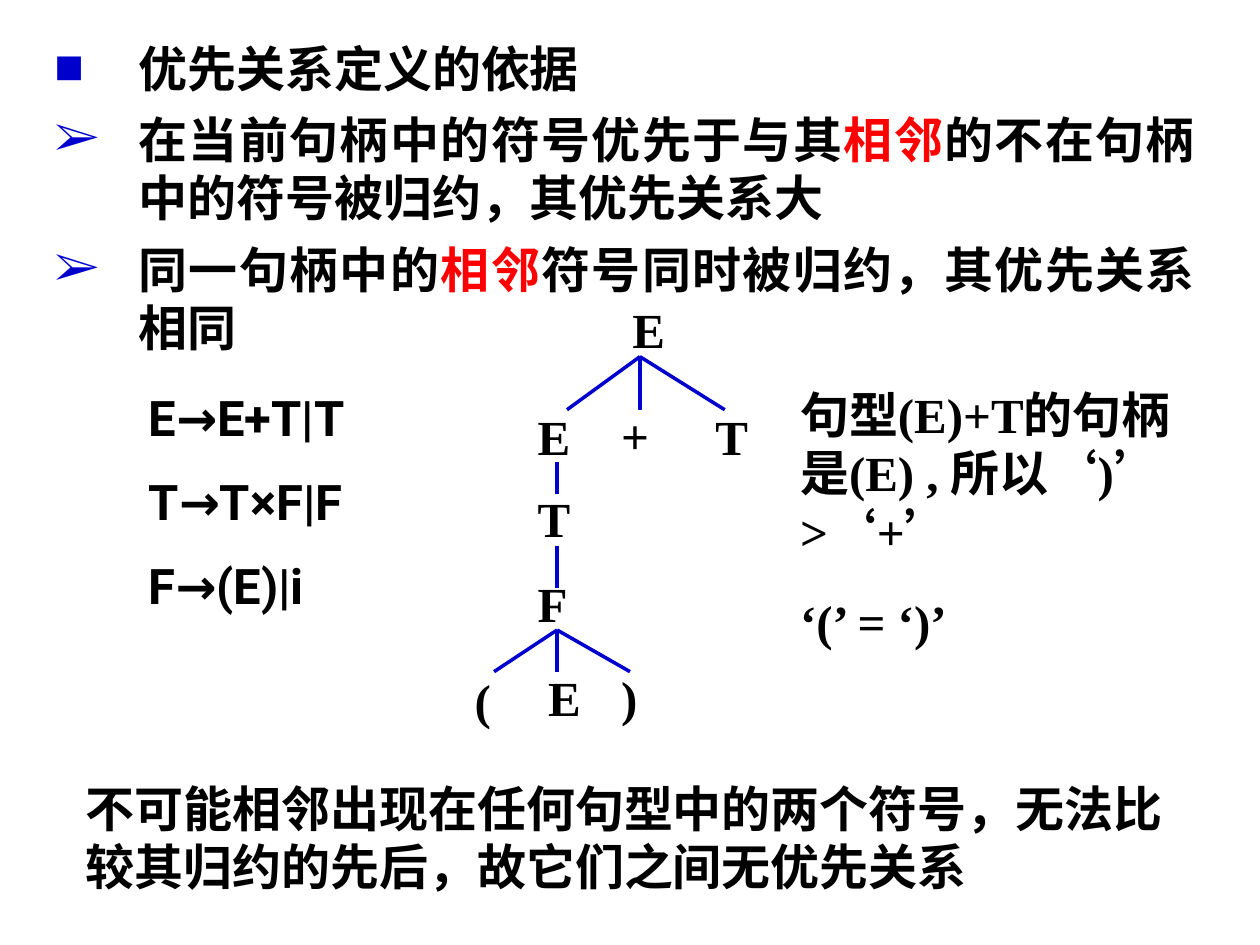
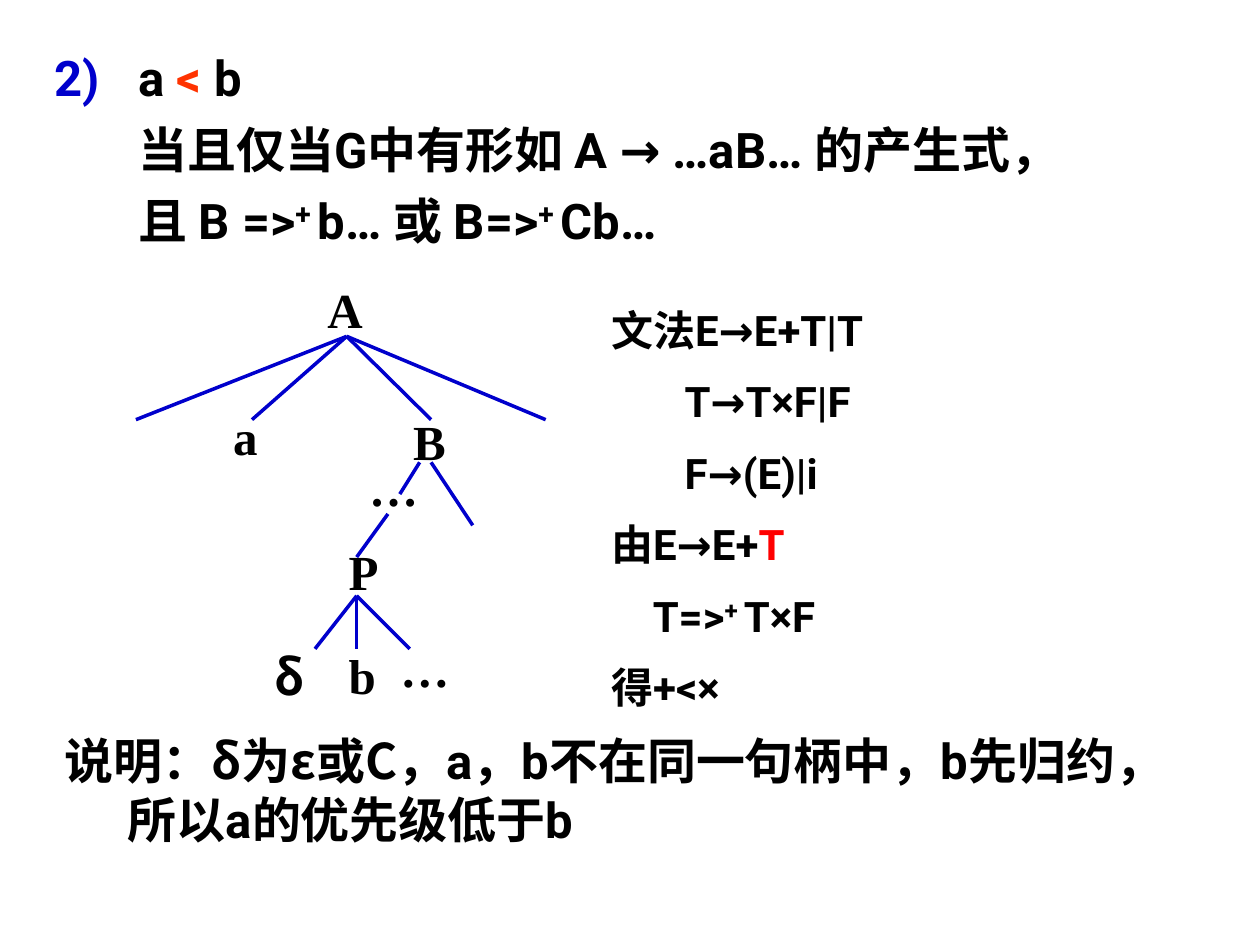
from dataclasses import dataclass

from lxml import etree
from pptx import Presentation
from pptx import util as u
from pptx.dml.color import RGBColor
from pptx.enum import shapes, text
from pptx.oxml.ns import qn


@dataclass(frozen=True)
class Theme:
    ink: RGBColor = RGBColor(0, 0, 0)
    blue: RGBColor = RGBColor(0x00, 0x00, 0xCC)
    red: RGBColor = RGBColor(0xFF, 0x00, 0x00)
    orange: RGBColor = RGBColor(0xFF, 0x33, 0x00)
    serif: str = "Times New Roman"
    sans: str = "Roboto"
    chinese: str = "Noto Sans CJK SC"
    size: float = 28
    small: float = 24
    body_gap: float = 7
    gap: float = 17.5
    small_gap: float = 15
    line: float = 2
    hang: float = 1.7


theme = Theme()
RED = {"color": theme.red}
RAISED = {"raised": True}


def write(box, rows, font=theme.serif, size=theme.size, gap=theme.gap,
          spacing=None, align=text.PP_ALIGN.LEFT):
    """Fill a box; a row is (spans, options), a span is text or (text, style)."""
    frame = box.text_frame
    frame.word_wrap = True
    frame.auto_size = text.MSO_AUTO_SIZE.NONE
    for number, (spans, options) in enumerate(rows):
        para = frame.paragraphs[0] if number == 0 else frame.add_paragraph()

        # Indents, bullet and tab stop
        props = para._p.get_or_add_pPr()
        props.set("marL", str(u.Cm(options.get("left", 0))))
        props.set("indent", str(u.Cm(options.get("first", 0))))
        if "bullet" in options:
            tag, values = options["bullet"]
            colour = etree.SubElement(props, qn("a:buClr"))
            etree.SubElement(colour, qn("a:srgbClr"), val=str(theme.blue))
            etree.SubElement(props, qn("a:buFont"), typeface=font)
            etree.SubElement(props, qn(tag), **values)
        else:
            etree.SubElement(props, qn("a:buNone"))
        if "tab" in options:
            stops = etree.SubElement(props, qn("a:tabLst"))
            etree.SubElement(stops, qn("a:tab"), pos=str(u.Cm(options["tab"])), algn="l")

        # Paragraph style
        para.alignment = align
        para.space_before = u.Pt(gap)
        if spacing:
            para.line_spacing = spacing
        para.font.size = u.Pt(size)
        para.font.bold = True
        para.font.name = font
        para.font.color.rgb = theme.ink
        etree.SubElement(props.find(qn("a:defRPr")), qn("a:ea"), typeface=theme.chinese)

        # Runs, with only what differs
        for item in spans:
            words, style = (item, {}) if isinstance(item, str) else item
            span = para.add_run()
            span.text = words
            if "color" in style:
                span.font.color.rgb = style["color"]
            if "font" in style:
                span.font.name = style["font"]
            if "raised" in style:
                span._r.get_or_add_rPr().set("baseline", "30000")


def draw_tree(page, labels, fans):
    """Draw node labels, and fans of branches from one apex to a row of ends."""
    for words, left, top, width, font in labels:
        box = page.shapes.add_textbox(*map(u.Cm, (left, top, width, 1.45)))
        write(box, [([words], {})], font)
    for x, y, ends, bottom in fans:
        for end in ends:
            branch = page.shapes.add_connector(
                shapes.MSO_CONNECTOR.STRAIGHT, *map(u.Cm, (x, y, end, bottom)))
            branch.line.color.rgb = theme.blue
            branch.line.width = u.Pt(theme.line)
            etree.SubElement(branch._element.spPr, qn("a:effectLst"))


deck = Presentation()
deck.slide_width, deck.slide_height = u.Cm(25.4), u.Cm(19.05)

# Both slides: a body placeholder and no title
pages, bodies = [], []
for place in [(0.84, 0.64, 23.5, 6.78), (0.84, 0.84, 23.7, 4.88)]:
    page = deck.slides.add_slide(deck.slide_layouts[1])
    title = page.shapes.title._element
    title.getparent().remove(title)
    body = page.placeholders[1]
    body.left, body.top, body.width, body.height = map(u.Cm, place)
    pages.append(page)
    bodies.append(body)

# Slide 1: basis of the precedence relations
page = pages[0]
hanging = {"left": theme.hang, "first": -theme.hang}
square = {**hanging, "bullet": ("a:buChar", {"char": "■"})}
arrow = {**hanging, "bullet": ("a:buChar", {"char": "➢"})}
write(bodies[0], [
    (["优先关系定义的依据"], square),
    (["在当前句柄中的符号优先于与其", ("相邻", RED),
      "的不在句柄中的符号被归约，其优先关系大"], arrow),
    (["同一句柄中的", ("相邻", RED), "符号同时被归约，其优先关系相同"], arrow),
], gap=theme.body_gap, align=text.PP_ALIGN.JUSTIFY)

# Closing remark
remark = page.shapes.add_textbox(*map(u.Cm, (1.48, 15.56, 22.86, 2.65)))
write(remark, [(["不可能相邻出现在任何句型中的两个符号，"
                 "无法比较其归约的先后，故它们之间无优先关系"], {})])

# Grammar
grammar = page.shapes.add_textbox(*map(u.Cm, (2.75, 7.83, 6.56, 4.7)))
write(grammar, [([rule], {}) for rule in ("E→E+T|T", "T→T×F|F", "F→(E)|i")],
      theme.sans, spacing=0.9)

# Syntax tree of (E)+T
nodes = [("E", 12.5, 5.92),
         ("E", 10.59, 8.08), ("+", 12.27, 8.05), ("T", 14.17, 8.08),
         ("T", 10.59, 9.73), ("F", 10.59, 11.43),
         ("(", 9.32, 13.39), ("E", 10.8, 13.34), (")", 12.27, 13.34)]
draw_tree(page, [(*node, 1.27, theme.serif) for node in nodes], [
    (12.9, 7.19, (11.43, 12.9, 14.61), 8.26),
    (11.23, 9.32, (11.23,), 9.96),
    (11.23, 11, (11.23,), 11.86),
    (11.23, 12.7, (9.96, 11.23, 12.7), 13.54),
])

# Conclusion beside the tree
conclusion = page.shapes.add_textbox(*map(u.Cm, (15.88, 7.62, 8.89, 5.61)))
write(conclusion, [(["句型(E)+T的句柄是(E) , 所以‘)’ >‘+’"], {}),
                   (["‘(’ = ‘)’"], {})])

# Slide 2: definition of a < b
page = pages[1]
numbered = {**hanging, "bullet": ("a:buAutoNum", {"type": "arabicParenR", "startAt": "2"})}
indented = {"left": theme.hang}
write(bodies[1], [
    (["a ", ("<", {"color": theme.orange}), " b"], numbered),
    (["当且仅当G中有形如 A → …aB… 的产生式，"], indented),
    (["且 B =>", ("+ ", RAISED), "b… 或 B=>", ("+ ", RAISED), "Cb…"], indented),
], theme.sans, gap=theme.body_gap)

# Explanation
explanation = page.shapes.add_textbox(*map(u.Cm, (1.06, 14.6, 23.07, 2.65)))
write(explanation, [
    (["说明：", ("δ为ε或C，", {"font": theme.chinese}),
      "a，b不在同一句柄中，b先归约，\t所以a的优先级低于b"],
     {"left": 1.27, "first": -1.27, "tab": 7.62}),
], theme.sans)

# Syntax tree of A
draw_tree(page, [
    ("A", 6.35, 5.51, 1.07, theme.serif),
    ("a", 4.45, 8.08, 1.07, theme.serif),
    ("B", 8.08, 8.18, 1.07, theme.serif),
    ("…", 7.19, 9.09, 1.47, theme.serif),
    ("P", 6.78, 10.8, 1.07, theme.serif),
    ("δ", 5.28, 12.9, 1.7, theme.chinese),
    ("b", 6.78, 12.88, 1.07, theme.serif),
    ("…", 7.82, 12.75, 1.47, theme.serif),
], [
    (6.99, 6.78, (2.74, 5.08, 8.69, 11), 8.46),
    (8.46, 9.32, (8.06,), 9.96),
    (8.69, 9.32, (9.53,), 10.59),
    (7.82, 10.36, (7.19,), 11.23),
    (7.19, 12.01, (6.35, 7.19, 8.26), 13.08),
])

# Worked example
example = page.shapes.add_textbox(*map(u.Cm, (12.07, 6.12, 8.89, 8.38)))
write(example, [
    (["文法E→E+T|T"], {}),
    (["T→T×F|F"], {"left": 1.48}),
    (["F→(E)|i"], {"left": 1.48}),
    (["由E→E+", ("T", RED)], {}),
    (["T=>", ("+ ", RAISED), "T×F"], {"left": 0.84}),
    (["得+<×"], {}),
], theme.sans, theme.small, theme.small_gap, 0.9)

deck.save("out.pptx")
